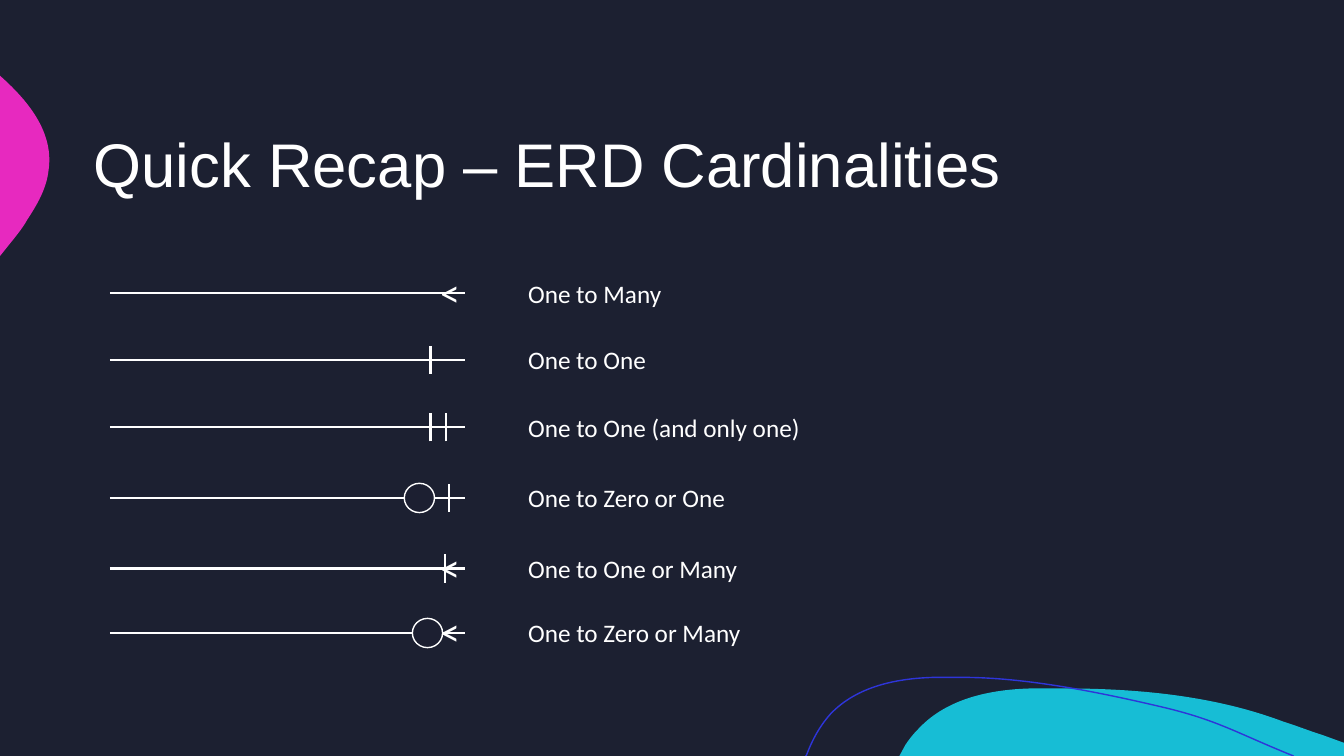
from pptx import Presentation
from pptx.dml.color import RGBColor
from pptx.enum.shapes import MSO_CONNECTOR, MSO_SHAPE
from pptx.enum.text import MSO_ANCHOR, PP_ALIGN
from pptx.oxml.ns import qn
from pptx.util import Inches, Pt
from lxml.etree import SubElement

NAVY = RGBColor(0x1C, 0x20, 0x31)
CIRCLE_NAVY = RGBColor(0x1C, 0x1F, 0x31)
WHITE = RGBColor(0xFF, 0xFF, 0xFF)
CYAN = RGBColor(0x17, 0xBD, 0xD5)
PINK = RGBColor(0xE7, 0x29, 0xBF)
BLUE = RGBColor(0x2E, 0x35, 0xD9)

LINE_LEFT, LINE_RIGHT = 1.09, 4.61
LABEL_LEFT = 5.14
TICK_HALF = 0.14
CIRCLE_WIDTH, CIRCLE_HEIGHT = 0.3, 0.29

# Outlines: a point is a straight step, six numbers are a Bezier curve
CYAN_WAVE = [
    (10.54, 6.83), (11.28, 6.83, 12.04, 6.9, 12.73, 7.16),
    (12.86, 7.2, 12.98, 7.25, 13.11, 7.29), (13.33, 7.37), (13.33, 7.5),
    (8.92, 7.5), (8.98, 7.39), (9.02, 7.33, 9.06, 7.28, 9.11, 7.23),
    (9.39, 6.93, 9.82, 6.84, 10.23, 6.83),
    (10.33, 6.83, 10.43, 6.83, 10.54, 6.83),
]
PINK_BLOB = [
    (0, 0.75), (0.01, 0.76), (0.3, 1.02, 0.54, 1.33, 0.48, 1.7),
    (0.46, 1.87, 0.37, 2.03, 0.27, 2.18),
    (0.24, 2.24, 0.17, 2.33, 0.08, 2.44), (0, 2.54),
]
BLUE_CURVE = [
    (7.99, 7.5), (8, 7.49), (8.06, 7.33, 8.14, 7.19, 8.24, 7.08),
    (8.5, 6.81, 8.89, 6.73, 9.26, 6.72), (9.55, 6.72),
    (10.22, 6.72, 11, 6.89, 11.55, 7.02),
    (12.09, 7.15, 12.26, 7.27, 12.83, 7.5),
]

# Label, label width, height of the line, circle centres, ticks, crow's foot
CARDINALITIES = [
    ("One to Many", 1.7, 2.91, [], [], True),
    ("One to One", 1.57, 3.57, [], [4.27], False),
    ("One to One (and only one)", 3.29, 4.24, [], [4.27, 4.42], False),
    ("One to Zero or One", 2.47, 4.94, [4.16], [4.45], False),
    ("One to One or Many", 2.57, 5.64, [], [4.41], True),
    ("One to Zero or Many", 2.59, 6.28, [4.24], [], True),
]


def bend(shape, outline):
    """Turn the straight steps that stand for curves into Bezier curves."""
    segments = list(shape._element.iter(qn("a:lnTo")))
    for segment, step in zip(segments, outline[1:]):
        if len(step) == 2:
            continue
        segment.tag = qn("a:cubicBezTo")
        for point in list(segment):
            segment.remove(point)
        for x, y in zip(step[::2], step[1::2]):
            SubElement(segment, qn("a:pt"), x=str(Inches(x) - shape.left),
                       y=str(Inches(y) - shape.top))


def add_outline(page, outline, fill=None, line=None):
    start, *rest = [(Inches(step[-2]), Inches(step[-1])) for step in outline]
    builder = page.shapes.build_freeform(*start)
    builder.add_line_segments(rest, close=fill is not None)
    shape = builder.convert_to_shape()
    bend(shape, outline)
    shape.shadow.inherit = False
    if fill is None:
        shape.fill.background()
    else:
        shape.fill.solid()
        shape.fill.fore_color.rgb = fill
    if line is None:
        shape.line.fill.background()
    else:
        shape.line.color.rgb = line
        shape.line.width = Pt(1)


def add_line(page, x1, y1, x2, y2):
    line = page.shapes.add_connector(
        MSO_CONNECTOR.STRAIGHT, Inches(x1), Inches(y1), Inches(x2), Inches(y2))
    line.line.color.rgb = WHITE
    line.line.width = Pt(1.5)
    SubElement(line._element.spPr, qn("a:effectLst"))


def add_circle(page, x, y):
    circle = page.shapes.add_shape(
        MSO_SHAPE.OVAL, Inches(x - CIRCLE_WIDTH / 2), Inches(y - CIRCLE_HEIGHT / 2),
        Inches(CIRCLE_WIDTH), Inches(CIRCLE_HEIGHT))
    circle.shadow.inherit = False
    circle.fill.solid()
    circle.fill.fore_color.rgb = CIRCLE_NAVY
    circle.line.color.rgb = WHITE
    circle.line.width = Pt(1)


def style(para, font_name, size):
    para.font.name = font_name
    para.font.size = Pt(size)
    para.font.color.rgb = WHITE


def add_text(page, text, left, top, width, height, size):
    box = page.shapes.add_textbox(Inches(left), Inches(top), Inches(width), Inches(height))
    frame = box.text_frame
    frame.word_wrap = True
    frame.text = text
    style(frame.paragraphs[0], "Calibri", size)


def add_title(page, text):
    title = page.shapes.title
    title.left, title.top = Inches(0.83), Inches(0.83)
    title.width, title.height = Inches(11.67), Inches(1.67)
    frame = title.text_frame
    frame.text = text
    frame.vertical_anchor = MSO_ANCHOR.MIDDLE
    para = frame.paragraphs[0]
    para.alignment = PP_ALIGN.LEFT
    para.line_spacing = 0.9
    style(para, "Arial", 44)


def add_cardinality(page, label, width, y, circles, ticks, many):
    add_line(page, LINE_LEFT, y, LINE_RIGHT, y)
    for x in ticks:
        add_line(page, x, y + TICK_HALF, x, y - TICK_HALF)
    if many:
        add_text(page, "<", 4.27, y - 0.3, 0.46, 0.57, 28)
    for x in circles:
        add_circle(page, x, y)
    add_text(page, label, LABEL_LEFT, y - 0.2, width, 0.4, 18)


def main():
    deck = Presentation()
    deck.slide_width, deck.slide_height = Inches(13.33), Inches(7.5)
    page = deck.slides.add_slide(deck.slide_layouts[5])
    page.background.fill.solid()
    page.background.fill.fore_color.rgb = NAVY

    # Decoration
    add_outline(page, CYAN_WAVE, fill=CYAN)
    add_outline(page, PINK_BLOB, fill=PINK)
    add_outline(page, BLUE_CURVE, line=BLUE)

    # Title and the notation rows
    add_title(page, "Quick Recap – ERD Cardinalities")
    for row in CARDINALITIES:
        add_cardinality(page, *row)

    deck.save("out.pptx")


if __name__ == "__main__":
    main()
